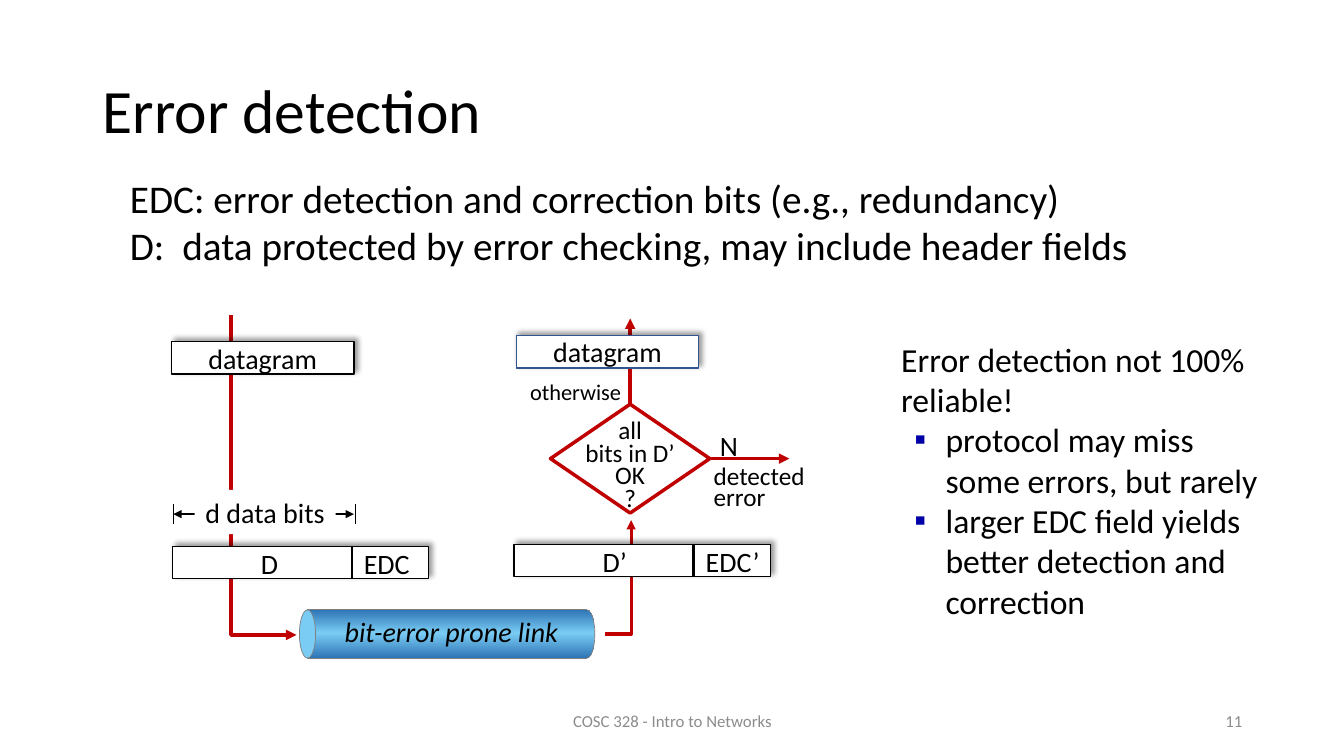
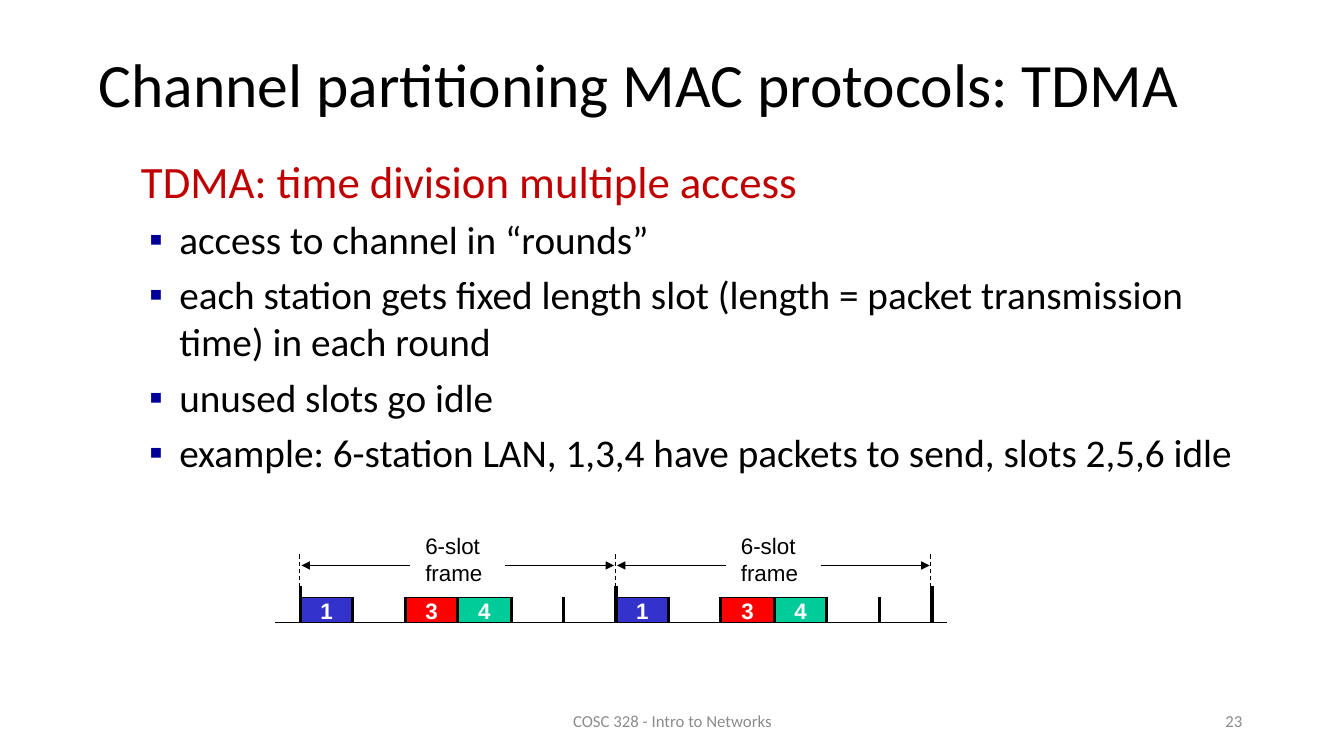
from copy import deepcopy

from lxml import etree
from pptx import Presentation
from pptx.dml.color import RGBColor
from pptx.enum.dml import MSO_LINE
from pptx.enum.shapes import MSO_CONNECTOR, MSO_SHAPE
from pptx.enum.text import MSO_ANCHOR, PP_ALIGN
from pptx.oxml.ns import qn
from pptx.util import Pt

PX = 9144  # EMU per px, 100 px to the inch
SLIDE_SIZE = (1333, 750)

BLACK = RGBColor(0x00, 0x00, 0x00)
WHITE = RGBColor(0xFF, 0xFF, 0xFF)
DARK_RED = RGBColor(0xC0, 0x00, 0x00)
GRAY = RGBColor(0x8C, 0x8C, 0x8C)
EDGE_GRAY = RGBColor(0x80, 0x80, 0x80)
EDGE_BLUE = RGBColor(0x32, 0x54, 0x91)
LINK_DARK = RGBColor(0x2E, 0x75, 0xB6)
LINK_LIGHT = RGBColor(0x7A, 0xCC, 0xF4)
BULLET_BLUE = RGBColor(0x00, 0x00, 0xA8)
BULLET_NAVY = RGBColor(0x00, 0x00, 0x99)
SLOT_BLUE = RGBColor(0x33, 0x33, 0xCC)
SLOT_RED = RGBColor(0xFF, 0x00, 0x00)
SLOT_GREEN = RGBColor(0x00, 0xCC, 0x99)

RECT, OVAL, DIAMOND = MSO_SHAPE.RECTANGLE, MSO_SHAPE.OVAL, MSO_SHAPE.DIAMOND
STRAIGHT = MSO_CONNECTOR.STRAIGHT
DASH = MSO_LINE.DASH
MIDDLE = MSO_ANCHOR.MIDDLE
CENTER, RIGHT = PP_ALIGN.CENTER, PP_ALIGN.RIGHT
TOP_SIDE, RIGHT_SIDE = 0, 3

CENTERED = {"alignment": CENTER}
NO_WRAP = {"word_wrap": False}
IN_SHAPE = {"word_wrap": False, "vertical_anchor": MIDDLE, "margin_left": 0,
            "margin_right": 0, "margin_top": 0, "margin_bottom": 0}

# TDMA time line
FRAME_START, FRAME_WIDTH, SLOTS = 298, 313, 6
AXIS_Y = 618
BUSY_SLOTS = {1: SLOT_BLUE, 3: SLOT_RED, 4: SLOT_GREEN}


def font(size, name="Calibri", **extra):
    return {"name": name, "size": Pt(size), **extra}


def set_all(target, values):
    for name, value in values.items():
        setattr(target, name, value)


def scaled(lengths):
    return [length * PX for length in lengths]


def add_xml(parent, tag, **attributes):
    return etree.SubElement(parent, qn(tag), attributes)


# Text

def add_run(paragraph, text, look, color):
    run = paragraph.add_run()
    run.text = text
    set_all(run.font, look)
    run.font.color.rgb = color


def write(shape, lines, look, color=BLACK, para=None, frame=None):
    text_frame = shape.text_frame
    set_all(text_frame, {"word_wrap": True, **(frame or {})})
    for index, line in enumerate(lines):
        paragraph = text_frame.add_paragraph() if index else text_frame.paragraphs[0]
        set_all(paragraph, para or {})
        add_run(paragraph, line, look, color)
    return text_frame


def add_text(slide, box, lines, look, **options):
    return write(slide.shapes.add_textbox(*scaled(box)), lines, look, **options)


def add_bullets(text_frame, lines, look, color, left, hang, space=0):
    for line in lines:
        paragraph = text_frame.add_paragraph()
        paragraph.space_before = Pt(space)
        properties = paragraph._p.get_or_add_pPr()
        properties.set("marL", str(left * PX))
        properties.set("indent", str(-hang * PX))
        add_xml(add_xml(properties, "a:buClr"), "a:srgbClr", val=str(color))
        add_xml(properties, "a:buFont", typeface="Arial")
        add_xml(properties, "a:buChar", char="▪")
        add_run(paragraph, line, look, BLACK)


def add_tab_stop(paragraph, position):
    stops = add_xml(paragraph._p.get_or_add_pPr(), "a:tabLst")
    add_xml(stops, "a:tab", pos=str(position * PX), algn="l")


# Shapes and lines

def set_line(shape, color, weight, head=False, tail=False, dash=None):
    shape.line.color.rgb = color
    shape.line.width = Pt(weight)
    if dash:
        shape.line.dash_style = dash
    outline = shape.element.spPr.find(qn("a:ln"))
    for wanted, tag in ((head, "a:headEnd"), (tail, "a:tailEnd")):
        if wanted:
            add_xml(outline, tag, type="triangle")


def add_line(slide, start, end, color=BLACK, weight=0.75, **options):
    line = slide.shapes.add_connector(STRAIGHT, *scaled(start + end))
    set_line(line, color, weight, **options)
    add_xml(line.element.spPr, "a:effectLst")
    return line


def add_shape(slide, kind, box, fill=WHITE, edge=None, weight=1):
    shape = slide.shapes.add_shape(kind, *scaled(box))
    shape.shadow.inherit = False
    shape.fill.solid()
    shape.fill.fore_color.rgb = fill
    if edge is None:
        shape.line.fill.background()
    else:
        set_line(shape, edge, weight)
    return shape


def add_shadowed_box(slide, box, edge=BLACK):
    shape = add_shape(slide, RECT, box, edge=edge)
    effects = shape.element.spPr.find(qn("a:effectLst"))
    shadow = add_xml(effects, "a:outerShdw", blurRad="50800", dist="38100",
                     dir="18900000", algn="bl", rotWithShape="0")
    add_xml(add_xml(shadow, "a:srgbClr", val=str(BLACK)), "a:alpha", val="40000")
    return shape


def add_bent_arrow(slide, start, corner, end, weight):
    builder = slide.shapes.build_freeform(*start, scale=PX)
    builder.add_line_segments([corner, end], close=False)
    arrow = builder.convert_to_shape()
    arrow.shadow.inherit = False
    arrow.fill.background()
    set_line(arrow, DARK_RED, weight, tail=True)


def shade_tube(shape):
    shape.fill.gradient()
    shape.fill.gradient_angle = 90
    stops = shape.element.spPr.find(qn("a:gradFill")).find(qn("a:gsLst"))
    stops.append(deepcopy(stops[0]))
    shades = ((0, LINK_DARK), (0.52, LINK_LIGHT), (1, LINK_DARK))
    for stop, (position, color) in zip(shape.fill.gradient_stops, shades):
        stop.position = position
        stop.color.rgb = color


# Parts of the slides

def add_slide(deck, title, title_box, number):
    slide = deck.slides.add_slide(deck.slide_layouts[6])
    anchored = {"vertical_anchor": MIDDLE}
    add_text(slide, title_box, [title], font(44), para={"line_spacing": 0.9},
             frame=anchored)
    add_text(slide, (442, 695, 450, 40), ["COSC 328 - Intro to Networks"], font(12),
             color=GRAY, para=CENTERED, frame=anchored)
    add_text(slide, (942, 695, 300, 40), [number], font(12), color=GRAY,
             para={"alignment": RIGHT}, frame=anchored)
    return slide


def add_datagram(slide, left, top, edge):
    box = add_shadowed_box(slide, (left, top, 181, 32), edge)
    write(box, ["datagram"], font(20), para=CENTERED, frame=IN_SHAPE)


def add_packet(slide, left, top, data, check):
    divider = left + 178
    add_shadowed_box(slide, (left, top, 254, 32))
    add_line(slide, (divider, top), (divider, top + 32), weight=1.75)
    for label, offset, width in ((data, 78, 60), (check, 180, 90)):
        add_text(slide, (left + offset, top - 5, width, 44), [label], font(20))


def add_data_width(slide):
    add_line(slide, (172, 510), (351, 510), weight=1.75, head=True, tail=True)
    label = add_shape(slide, RECT, (193, 486, 140, 44))
    write(label, ["d data bits"], font(20), para=CENTERED, frame=IN_SHAPE)
    for x in (172, 352):
        add_line(slide, (x, 500), (x, 520), weight=0.5)


def add_link(slide):
    top, height = 605, 48
    tube = ((RECT, 305, 277, EDGE_GRAY), (OVAL, 574, 16, EDGE_GRAY), (RECT, 553, 29, None))
    for kind, left, width, edge in tube:
        shade_tube(add_shape(slide, kind, (left, top, width, height), edge=edge, weight=0.5))
    add_shape(slide, OVAL, (297, top, 16, height), LINK_LIGHT, EDGE_GRAY, 0.5)
    add_text(slide, (332, top, 234, 44), ["bit-error prone link"],
             font(20, italic=True), frame=NO_WRAP)


def add_check(slide):
    check = add_shape(slide, DIAMOND, (546, 401, 158, 108), edge=DARK_RED, weight=2.5)
    add_text(slide, (570, 413, 110, 102), ["all", "bits in D’", "OK", "?"], font(18),
             para={"alignment": CENTER, "line_spacing": 0.75}, frame=NO_WRAP)
    add_text(slide, (704, 420, 38, 44), ["N"], font(20), frame=NO_WRAP)
    add_text(slide, (698, 460, 117, 54), ["detected", "error"], font(18),
             para={"line_spacing": 0.7}, frame=NO_WRAP)
    for side, start, end in ((RIGHT_SIDE, (704, 455), (783, 455)),
                             (TOP_SIDE, (625, 401), (625, 316))):
        arrow = add_line(slide, start, end, DARK_RED, 2.5, tail=True)
        arrow.begin_connect(check, side)
    add_text(slide, (516, 378, 112, 30), ["otherwise"], font(16),
             para={"line_spacing": 0.7})


def build_error_detection(deck):
    slide = add_slide(deck, "Error detection", (92, 40, 1150, 145), "11")
    terms = add_text(slide, (119, 168, 1079, 104), [
        "EDC: error detection and correction bits (e.g., redundancy)",
        "D:\tdata protected by error checking, may include header fields"], font(28))
    add_tab_stop(terms.paragraphs[1], 52)
    caveat = add_text(slide, (884, 331, 377, 293),
                      ["Error detection not 100% reliable!"], font(24))
    add_bullets(caveat, ["protocol may miss some errors, but rarely",
                         "larger EDC field yields better detection and correction"],
                font(24), BULLET_BLUE, 44, 31)

    # Sender
    add_bent_arrow(slide, (229, 313), (229, 630), (294, 630), 2.5)
    add_datagram(slide, 170, 339, BLACK)
    add_packet(slide, 171, 542, "D", "EDC")
    add_data_width(slide)
    add_link(slide)

    # Receiver
    add_bent_arrow(slide, (600, 629), (626, 629), (626, 516), 2.25)
    add_packet(slide, 510, 540, "D’", "EDC’")
    add_check(slide)
    add_datagram(slide, 512, 333, EDGE_BLUE)


def slot_x(frame, slot):
    return FRAME_START + round(FRAME_WIDTH * (frame + slot / SLOTS))


def add_frame(slide, frame):
    start = slot_x(frame, 0)
    for slot, color in BUSY_SLOTS.items():
        left, right = slot_x(frame, slot - 1), slot_x(frame, slot)
        box = add_shape(slide, RECT, (left, 593, right - left, 25), color, BLACK, 0.75)
        write(box, [str(slot)], font(16, "Arial", bold=True), color=WHITE,
              para=CENTERED, frame=IN_SHAPE)
    for slot in range(1, SLOTS):
        x = slot_x(frame, slot)
        add_line(slide, (x, 592), (x, AXIS_Y), weight=2.25)
    add_text(slide, (start + 114, 523, 77, 64), ["6-slot", "frame"],
             font(16, "Arial"), frame=NO_WRAP)
    for tail_x, tip_x in ((203, 311), (109, 1)):
        add_line(slide, (start + tail_x, 561), (start + tip_x, 561), tail=True)


def build_tdma(deck):
    slide = add_slide(deck, "Channel partitioning MAC protocols: TDMA",
                      (88, 38, 1150, 98), "23")
    facts = add_text(slide, (130, 160, 1119, 320),
                     ["TDMA: time division multiple access"], font(32),
                     color=DARK_RED, para={"line_spacing": 0.75})
    add_bullets(facts, [
        "access to channel in “rounds”",
        "each station gets fixed length slot (length = packet transmission time) in each round",
        "unused slots go idle",
        "example: 6-station LAN, 1,3,4 have packets to send, slots 2,5,6 idle",
    ], font(28), BULLET_NAVY, 38, 30, space=6)

    # Time line with two frames
    add_line(slide, (273, AXIS_Y), (939, AXIS_Y))
    for frame in range(2):
        add_frame(slide, frame)
    for boundary, weight in enumerate((2.25, 3, 3)):
        x = slot_x(boundary, 0)
        add_line(slide, (x, 581), (x, AXIS_Y), weight=weight)
        add_line(slide, (x - 1, 550), (x - 1, 583), dash=DASH)


def main():
    deck = Presentation()
    deck.slide_width, deck.slide_height = scaled(SLIDE_SIZE)
    build_error_detection(deck)
    build_tdma(deck)
    deck.save("out.pptx")


if __name__ == "__main__":
    main()
